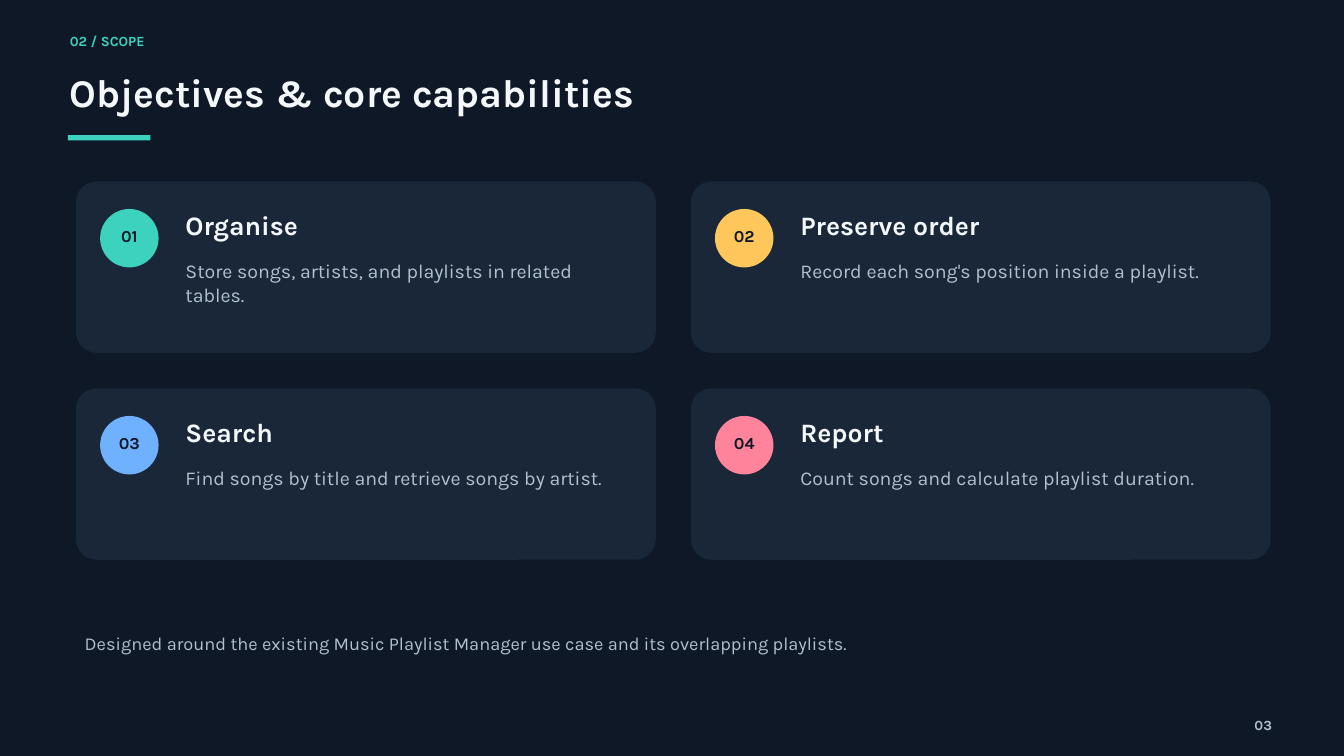
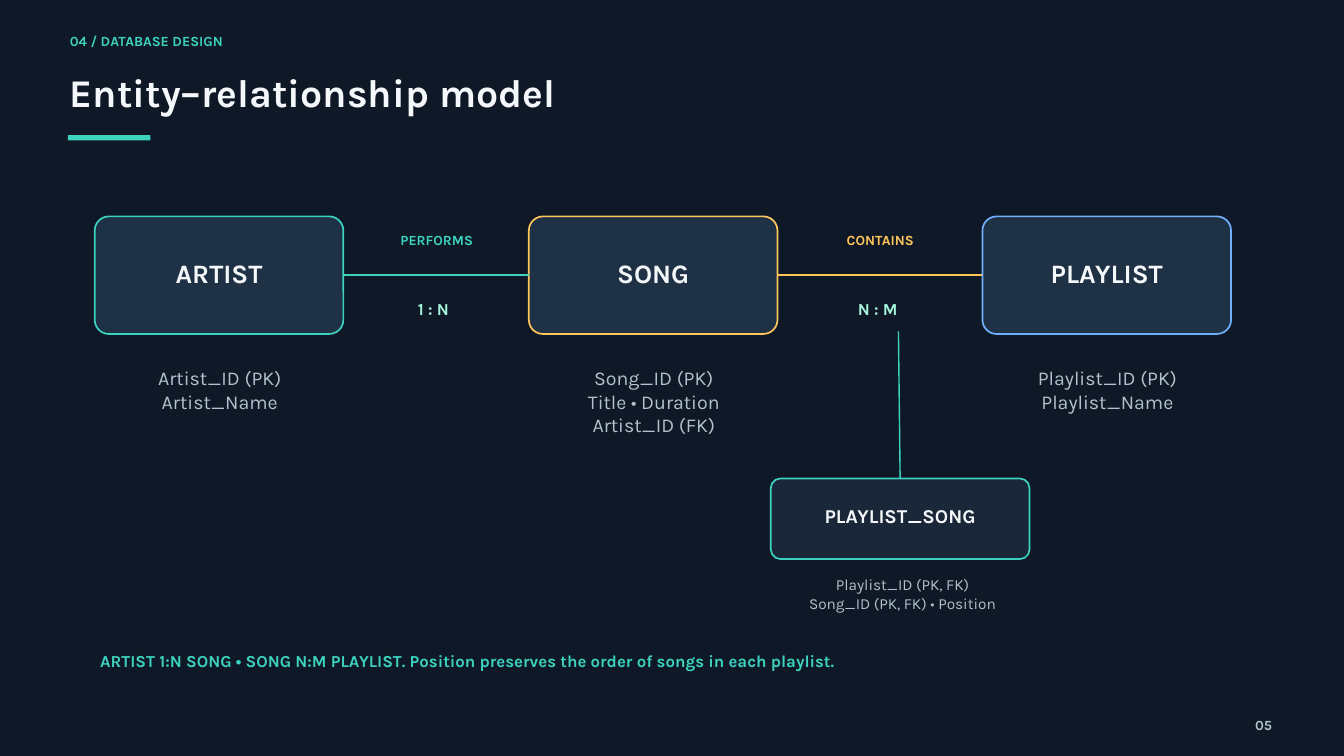
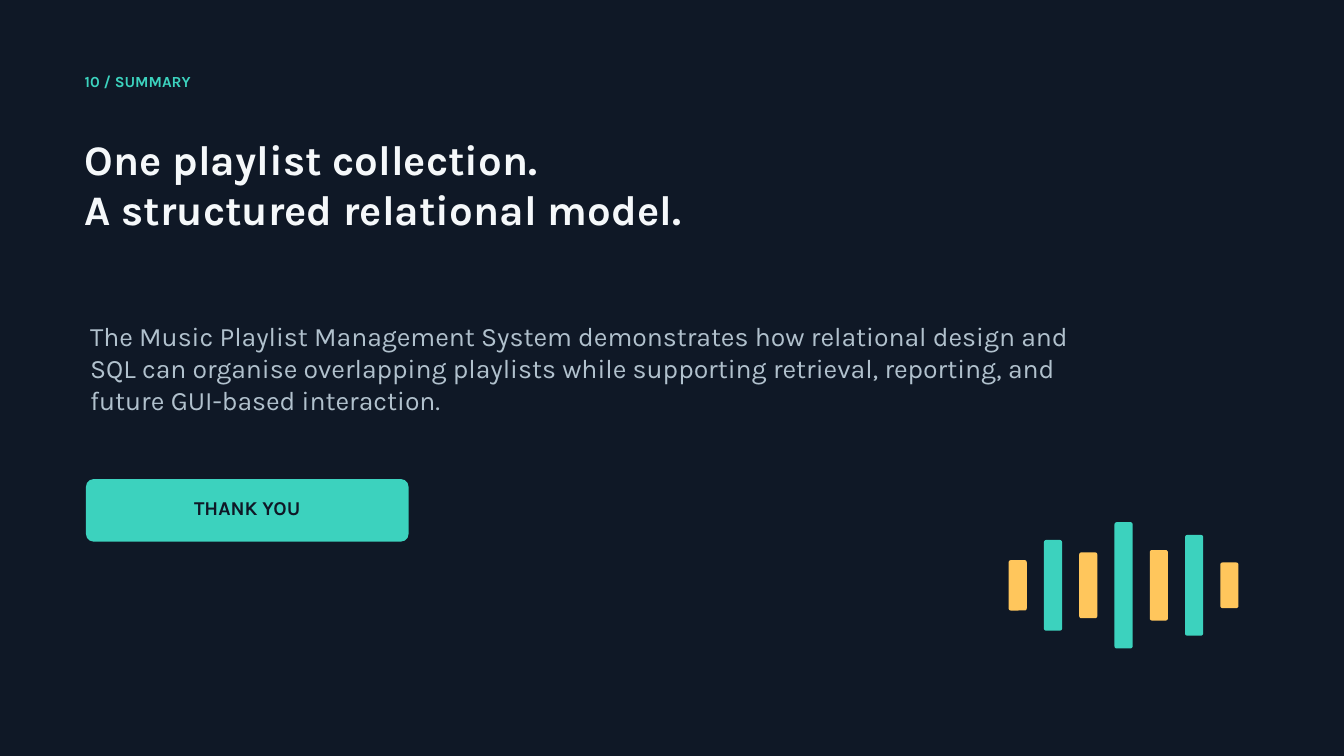
from dataclasses import dataclass
from lxml.etree import SubElement
from pptx import Presentation
from pptx.dml.color import RGBColor
from pptx.enum.shapes import MSO_CONNECTOR, MSO_SHAPE
from pptx.enum.text import MSO_ANCHOR, MSO_AUTO_SIZE, PP_ALIGN
from pptx.oxml.ns import qn
from pptx.util import Inches, Pt


@dataclass(frozen=True)
class Theme:
    font: str = "Karla"
    background: str = "0F1826"
    card: str = "192739"
    entity: str = "1F3144"
    white: str = "F5F8FA"
    muted: str = "B1C1CD"
    teal: str = "3CD2BE"
    amber: str = "FFC65C"
    blue: str = "70B1FF"
    pink: str = "FF849B"
    mint: str = "A6F5DA"
    closing_title: float = 45
    title: float = 42
    heading: float = 28.5
    body: float = 21
    note: float = 19.5
    label: float = 18
    small: float = 16.5
    tiny: float = 15
    leading: float = 1.2
    corner: float = 0.12
    outline: float = 1.8
    link: float = 1.5
    label_lift: float = 0.08


THEME = Theme()
WIDTH, HEIGHT = 20, 11.25
TOP, LEFT, BOTTOM, RIGHT = range(4)

SCOPE = {
    "kicker": "02 / SCOPE",
    "title": "Objectives & core capabilities",
    "page": "03",
    "cards": [
        ("Organise", "Store songs, artists, and playlists in related tables.", THEME.teal),
        ("Preserve order", "Record each song's position inside a playlist.", THEME.amber),
        ("Search", "Find songs by title and retrieve songs by artist.", THEME.blue),
        ("Report", "Count songs and calculate playlist duration.", THEME.pink),
    ],
    "note": "Designed around the existing Music Playlist Manager use case and its overlapping playlists.",
}

MODEL = {
    "kicker": "04 / DATABASE DESIGN",
    "title": "Entity–relationship model",
    "page": "05",
    "entities": [
        ("ARTIST", "Artist_ID (PK)\nArtist_Name", 1.41, THEME.teal),
        ("SONG", "Song_ID (PK)\nTitle • Duration\nArtist_ID (FK)", 7.87, THEME.amber),
        ("PLAYLIST", "Playlist_ID (PK)\nPlaylist_Name", 14.62, THEME.blue),
    ],
    "relationships": [
        ("PERFORMS", "1 : N", 6.5, 6.45, THEME.teal),
        ("CONTAINS", "N : M", 13.1, 13.06, THEME.amber),
    ],
    "junction": ("PLAYLIST_SONG", "Playlist_ID (PK, FK)\nSong_ID (PK, FK) • Position"),
    "note": "ARTIST 1:N SONG • SONG N:M PLAYLIST. Position preserves the order of songs in each playlist.",
}

SUMMARY = {
    "kicker": "10 / SUMMARY",
    "title": "One playlist collection.\nA structured relational model.",
    "body": "The Music Playlist Management System demonstrates how relational design and SQL can "
            "organise overlapping playlists while supporting retrieval, reporting, and future "
            "GUI-based interaction.",
    "button": "THANK YOU",
    "bar_heights": [0.75, 1.35, 0.98, 1.88, 1.05, 1.5, 0.68],
}


def color(value):
    return RGBColor.from_string(value)


def box(*lengths):
    return [Inches(length) for length in lengths]


def write_text(frame, text, size=THEME.body, ink=THEME.muted, bold=False,
               align=PP_ALIGN.LEFT, anchor=MSO_ANCHOR.TOP, bottom=0):
    frame.word_wrap = True
    frame.auto_size = MSO_AUTO_SIZE.NONE
    frame.vertical_anchor = anchor
    frame.margin_left = frame.margin_top = frame.margin_right = 0
    frame.margin_bottom = Inches(bottom)
    frame.text = text
    for paragraph in frame.paragraphs:
        paragraph.alignment = align
        paragraph.line_spacing = Pt(size * THEME.leading)
        paragraph.space_before = Pt(0)
        paragraph.font.name = THEME.font
        paragraph.font.size = Pt(size)
        paragraph.font.bold = bold
        for run in paragraph.runs:
            run.font.name = THEME.font
            run.font.size = Pt(size)
            run.font.bold = bold
            run.font.color.rgb = color(ink)


def add_text(slide, text, area, **text_format):
    write_text(slide.shapes.add_textbox(*box(*area)).text_frame, text, **text_format)


def add_panel(slide, area, fill, outline=None, kind=MSO_SHAPE.ROUNDED_RECTANGLE,
              label=None, **text_format):
    shape = slide.shapes.add_shape(kind, *box(*area))
    shape.shadow.inherit = False
    shape.fill.solid()
    shape.fill.fore_color.rgb = color(fill)
    if kind == MSO_SHAPE.ROUNDED_RECTANGLE:
        shape.adjustments[0] = THEME.corner
    if outline:
        shape.line.color.rgb = color(outline)
        shape.line.width = Pt(THEME.outline)
    else:
        shape.line.fill.background()
    if label:
        write_text(shape.text_frame, label, bold=True, align=PP_ALIGN.CENTER,
                   anchor=MSO_ANCHOR.MIDDLE, bottom=THEME.label_lift, **text_format)
    return shape


def add_link(slide, fill, target, side, source=None, start=(0, 0)):
    connector = slide.shapes.add_connector(MSO_CONNECTOR.STRAIGHT, *box(*start, *start))
    if source is not None:
        connector.begin_connect(source, RIGHT)
    connector.end_connect(target, side)
    connector.line.color.rgb = color(fill)
    connector.line.width = Pt(THEME.link)
    SubElement(connector._element.spPr, qn("a:effectLst"))


def add_slide(presentation, content, kicker_area, kicker_size, title_area, title_size):
    slide = presentation.slides.add_slide(presentation.slide_layouts[5])
    add_text(slide, content["kicker"], kicker_area, size=kicker_size, ink=THEME.teal, bold=True)
    title = slide.shapes.title
    title.left, title.top, title.width, title.height = box(*title_area)
    write_text(title.text_frame, content["title"], size=title_size, ink=THEME.white, bold=True)
    return slide


def add_content_slide(presentation, content):
    slide = add_slide(presentation, content, (1.04, 0.48, 11.89, 0.32), THEME.tiny,
                      (1.04, 1.01, 17.89, 0.81), THEME.title)
    add_panel(slide, (1.01, 2.01, 1.23, 0.08), THEME.teal, kind=MSO_SHAPE.RECTANGLE)
    add_text(slide, content["page"], (18.3, 10.66, 0.63, 0.21),
             size=THEME.tiny, bold=True, align=PP_ALIGN.RIGHT)
    return slide


def build_scope(presentation):
    slide = add_content_slide(presentation, SCOPE)
    for index, (heading, body, accent) in enumerate(SCOPE["cards"]):
        row, column = divmod(index, 2)
        left, top = 1.13 + 9.15 * column, 2.7 + 3.08 * row
        add_panel(slide, (left, top, 8.63, 2.55), THEME.card)
        add_panel(slide, (left + 0.36, top + 0.41, 0.87, 0.87), accent, kind=MSO_SHAPE.OVAL,
                  label=f"{index + 1:02}", size=THEME.label, ink=THEME.background)
        add_text(slide, heading, (left + 1.63, top + 0.41, 6.26, 0.47),
                 size=THEME.heading, ink=THEME.white, bold=True)
        add_text(slide, body, (left + 1.63, top + 1.16, 6.34, 0.93))
    add_text(slide, SCOPE["note"], (1.26, 9.41, 17.14, 0.47), size=THEME.note)


def build_model(presentation):
    slide = add_content_slide(presentation, MODEL)
    centered = {"align": PP_ALIGN.CENTER}
    entities = []
    for name, fields, left, accent in MODEL["entities"]:
        entities.append(add_panel(slide, (left, 3.22, 3.7, 1.75), THEME.entity, outline=accent,
                                  label=name, size=THEME.heading, ink=THEME.white))
        add_text(slide, fields, (left + 0.08, 5.45, 3.56, 1.45), **centered)

    pairs = zip(MODEL["relationships"], entities, entities[1:])
    for (verb, ratio, verb_center, ratio_center, accent), source, target in pairs:
        add_link(slide, accent, target, LEFT, source=source)
        add_text(slide, verb, (verb_center - 1.1, 3.44, 2.2, 0.27),
                 size=THEME.tiny, ink=accent, bold=True, **centered)
        add_text(slide, ratio, (ratio_center - 0.84, 4.44, 1.68, 0.27),
                 size=THEME.label, ink=THEME.mint, bold=True, **centered)

    name, fields = MODEL["junction"]
    junction = add_panel(slide, (11.47, 7.12, 3.85, 1.2), THEME.card, outline=THEME.teal,
                         label=name, ink=THEME.white)
    add_link(slide, THEME.teal, junction, TOP, start=(13.37, 4.93))
    add_text(slide, fields, (11.65, 8.56, 3.56, 0.87), size=THEME.small, **centered)
    add_text(slide, MODEL["note"], (1.49, 9.68, 17.14, 0.39),
             size=THEME.label, ink=THEME.teal, bold=True)


def build_summary(presentation):
    slide = add_slide(presentation, SUMMARY, (1.26, 1.08, 7.39, 0.39), THEME.small,
                      (1.26, 1.98, 16.39, 1.37), THEME.closing_title)
    add_text(slide, SUMMARY["body"], (1.34, 4.76, 15.19, 1.59), size=THEME.heading)
    add_panel(slide, (1.28, 7.13, 4.8, 0.93), THEME.teal,
              label=SUMMARY["button"], ink=THEME.background)
    for index, height in enumerate(SUMMARY["bar_heights"]):
        accent = THEME.teal if index % 2 else THEME.amber
        add_panel(slide, (15.01 + 3.15 * index / 6, 8.71 - height / 2, 0.27, height), accent)


def main():
    presentation = Presentation()
    presentation.slide_width, presentation.slide_height = box(WIDTH, HEIGHT)
    background = presentation.slide_master.background.fill
    background.solid()
    background.fore_color.rgb = color(THEME.background)
    build_scope(presentation)
    build_model(presentation)
    build_summary(presentation)
    presentation.save("out.pptx")


if __name__ == "__main__":
    main()
